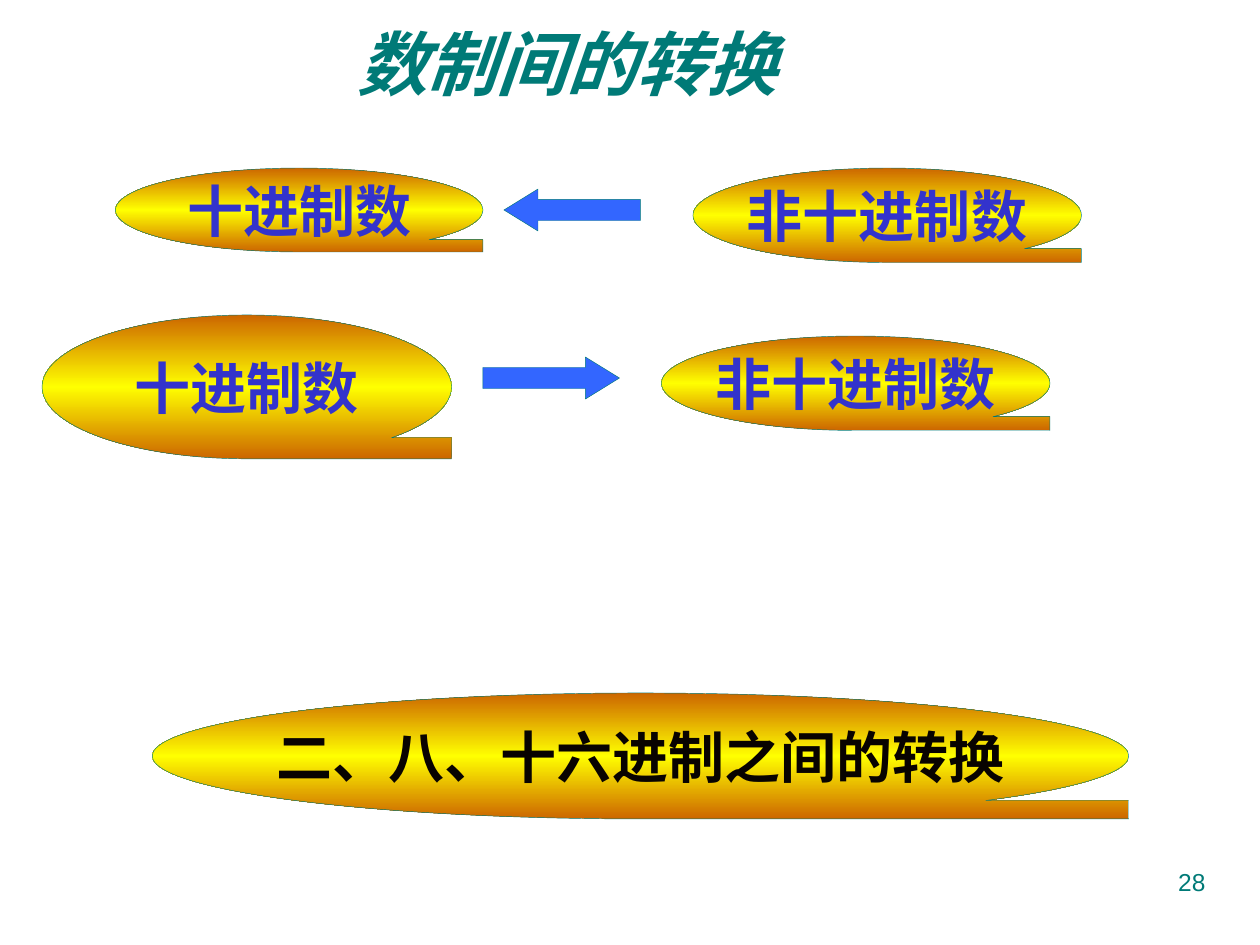
import copy

import pptx
import pptx.dml.color
import pptx.enum.shapes
import pptx.enum.text
import pptx.oxml.ns
import pptx.util

COLORS = {
    "teal": "007A77",
    "blue": "3333CC",
    "black": "080300",
    "arrow": "3366FF",
    "orange": "CC6600",
    "yellow": "FFFF00",
}
COLUMNS, ROWS = 120, 90
SHAPES = pptx.enum.shapes.MSO_SHAPE
ALIGN = pptx.enum.text.PP_ALIGN
ANCHOR = pptx.enum.text.MSO_ANCHOR


class SlideBuilder:
    """Holds the style and the current slide; lengths are columns and rows."""

    title_format = {"size": pptx.util.Pt(40), "name": "Times New Roman", "bold": True, "italic": True}
    label_format = {"size": pptx.util.Pt(32), "name": "Times New Roman", "bold": True}
    number_format = {"size": pptx.util.Pt(14), "name": "Arial"}

    def __init__(self, presentation):
        self.column = presentation.slide_width / COLUMNS
        self.row = presentation.slide_height / ROWS
        self.slide = presentation.slides.add_slide(presentation.slide_layouts[5])

    def box(self, left, top, width, height):
        return (round(left * self.column), round(top * self.row),
                round(width * self.column), round(height * self.row))

    def color(self, name):
        return pptx.dml.color.RGBColor.from_string(COLORS[name])

    def set_text(self, shape, text, font_format, color, alignment, **frame_format):
        frame = shape.text_frame
        for name, value in frame_format.items():
            setattr(frame, name, value)
        paragraph = frame.paragraphs[0]
        paragraph.alignment = alignment
        run = paragraph.add_run()
        run.text = text
        for name, value in font_format.items():
            setattr(run.font, name, value)
        run.font.color.rgb = self.color(color)

    def title(self, text, *place):
        shape = self.slide.shapes.title
        shape.left, shape.top, shape.width, shape.height = self.box(*place)
        self.set_text(shape, text, self.title_format, "teal", ALIGN.LEFT,
                      margin_left=0, margin_right=0, margin_top=0, margin_bottom=0,
                      word_wrap=True, vertical_anchor=ANCHOR.MIDDLE,
                      auto_size=pptx.enum.text.MSO_AUTO_SIZE.NONE)

    def outlined(self, kind, place):
        shape = self.slide.shapes.add_shape(kind, *self.box(*place))
        shape.shadow.inherit = False
        shape.line.color.rgb = self.color("teal")
        shape.line.width = pptx.util.Pt(0.25)
        return shape

    def tape(self, text, color, *place):
        shape = self.outlined(SHAPES.FLOWCHART_SEQUENTIAL_ACCESS_STORAGE, place)
        # A third stop makes the gradient run orange, yellow, orange
        shape.fill.gradient()
        shape.fill.gradient_angle = 270
        stop_list = shape._element.spPr.find(".//" + pptx.oxml.ns.qn("a:gsLst"))
        stop_list.append(copy.deepcopy(stop_list[0]))
        stops = zip(shape.fill.gradient_stops, (0, 0.5, 1), ("orange", "yellow", "orange"))
        for stop, position, name in stops:
            stop.position = position
            stop.color.rgb = self.color(name)
        self.set_text(shape, text, self.label_format, color, ALIGN.CENTER,
                      word_wrap=False, vertical_anchor=ANCHOR.MIDDLE)

    def arrow(self, kind, left, top):
        shape = self.outlined(kind, (left, top, 13, 4))
        shape.adjustments[0] = 0.5
        shape.adjustments[1] = 0.81
        shape.fill.solid()
        shape.fill.fore_color.rgb = self.color("arrow")

    def page_number(self, text, *place):
        shape = self.slide.shapes.add_textbox(*self.box(*place))
        self.set_text(shape, text, self.number_format, "teal", ALIGN.RIGHT, word_wrap=True)


def main():
    presentation = pptx.Presentation()
    presentation.slide_width = pptx.util.Inches(10)
    presentation.slide_height = pptx.util.Inches(7.5)
    builder = SlideBuilder(presentation)

    builder.title("数制间的转换", 34, 2, 49, 8)

    # Decimal to other bases
    builder.tape("十进制数", "blue", 4, 30, 39, 13.7)
    builder.arrow(SHAPES.RIGHT_ARROW, 46, 34)
    builder.tape("非十进制数", "blue", 63, 32, 37, 9)

    # Other bases to decimal
    builder.tape("非十进制数", "blue", 66, 16, 37, 9)
    builder.tape("十进制数", "blue", 11, 16, 35, 8)
    builder.arrow(SHAPES.LEFT_ARROW, 48, 18)

    # Between binary, octal and hexadecimal
    builder.tape("二、八、十六进制之间的转换", "black", 14.5, 66, 93, 12)

    builder.page_number("28", 86, 82, 30, 6.25)
    presentation.save("out.pptx")


if __name__ == "__main__":
    main()
